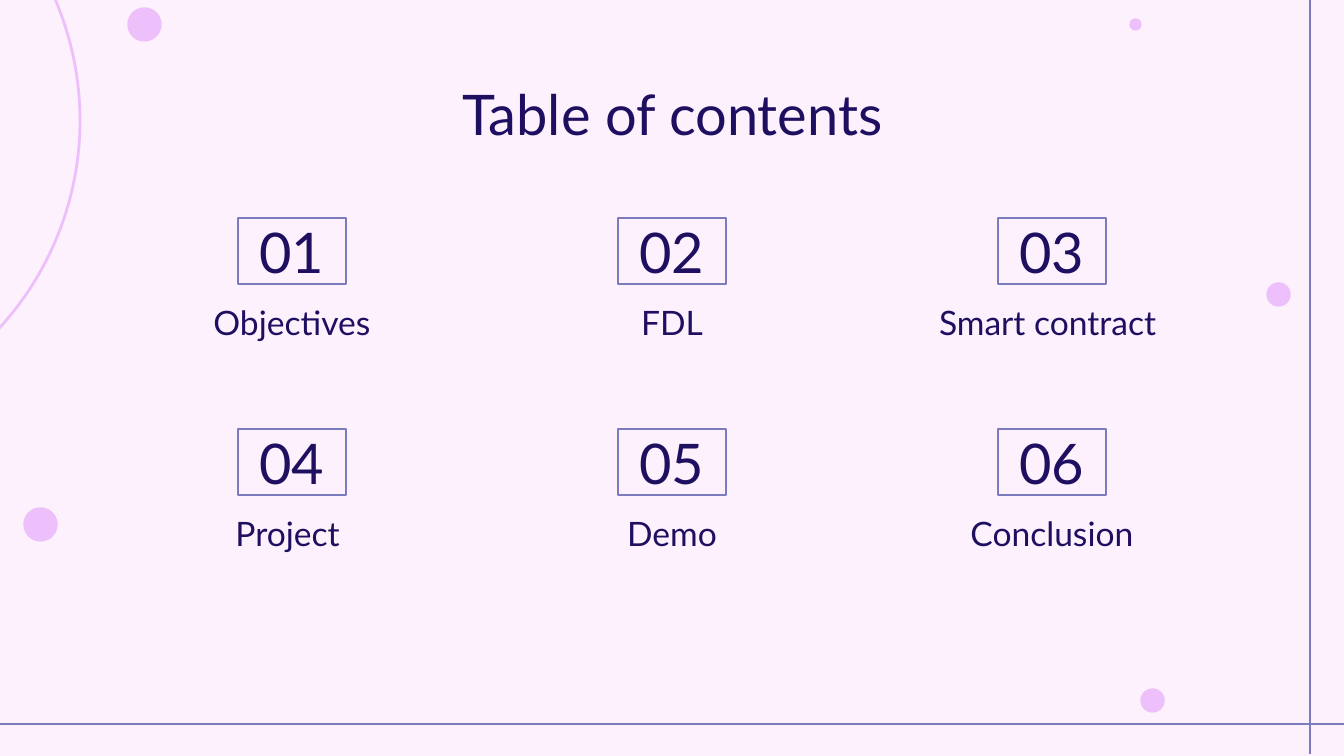
import pptx
import pptx.util
import pptx.dml.color
import pptx.enum.shapes
import pptx.enum.text
import pptx.oxml.ns
import lxml.etree

# Content
TITLE = "Table of contents"
SECTIONS = ["Objectives", "FDL", "Smart contract ",
            "Project ", "Demo", "Conclusion"]
DOTS = [(128, 8, 33), (1141, 689, 23), (1130, 19, 11),
        (1267, 283, 23), (24, 508, 33)]  # left, top, diameter
RULES = [(1310, -1, 1310, 754), (0, 724, 1351, 724)]

# Look
FONT = "Lato"
INK, FRAME, PINK, PAPER = "1F0F61", "7B7BBE", "EEC0FB", "FCF1FC"

# Grid, in px
COLUMNS = 3
LEFT, COLUMN_STEP, LABEL_WIDTH = 106, 380, 372
TOP, ROW_STEP, ROW_HEIGHT = 218, 211, 66
NUMBER_WIDTH, LABEL_DROP = 108, 70


def px(length):
    return pptx.util.Emu(round(length * 914400 / 134.4))


def color(value):
    return pptx.dml.color.RGBColor.from_string(value)


def add_shape(kind, left, top, width, height, fill=None, line=FRAME, weight=1.5):
    shape = slide.shapes.add_shape(kind, px(left), px(top), px(width), px(height))
    shape.shadow.inherit = False
    if fill:
        shape.fill.solid()
        shape.fill.fore_color.rgb = color(fill)
    else:
        shape.fill.background()
    shape.line.color.rgb = color(line)
    shape.line.width = pptx.util.Pt(weight)
    return shape


def add_textbox(left, top, width, height):
    return slide.shapes.add_textbox(px(left), px(top), px(width), px(height))


def write(box, text, size=30, anchor=pptx.enum.text.MSO_ANCHOR.TOP):
    frame = box.text_frame
    frame.word_wrap = True
    frame.vertical_anchor = anchor
    frame.margin_left = frame.margin_right = pptx.util.Inches(0.1)
    frame.margin_top = frame.margin_bottom = pptx.util.Inches(0.1)
    para = frame.paragraphs[0]
    para.alignment = pptx.enum.text.PP_ALIGN.CENTER
    span = para.add_run()
    span.text = text
    span.font.name = FONT
    span.font.size = pptx.util.Pt(size)
    span.font.color.rgb = color(INK)


deck = pptx.Presentation()
deck.slide_width, deck.slide_height = px(1344), px(756)
slide = deck.slides.add_slide(deck.slide_layouts[6])
slide.background.fill.solid()
slide.background.fill.fore_color.rgb = color(PAPER)
SHAPES = pptx.enum.shapes.MSO_SHAPE

# Large ring and dots
add_shape(SHAPES.OVAL, -535, -187, 615, 615, line=PINK)
for left, top, diameter in DOTS:
    add_shape(SHAPES.OVAL, left, top, diameter, diameter,
              fill=PINK, line=PINK, weight=0.75)

# Crossing rules
for rule in RULES:
    connector = slide.shapes.add_connector(
        pptx.enum.shapes.MSO_CONNECTOR.STRAIGHT, *map(px, rule))
    connector.line.color.rgb = color(FRAME)
    connector.line.width = pptx.util.Pt(1.5)
    lxml.etree.SubElement(connector._element.spPr,
                          pptx.oxml.ns.qn("a:effectLst"))

# Title
write(add_textbox(LEFT, 66, 1133, 85), TITLE)

# Numbered sections
for index, section in enumerate(SECTIONS):
    row, column = divmod(index, COLUMNS)
    left = LEFT + column * COLUMN_STEP
    top = TOP + row * ROW_STEP
    number_left = left + (LABEL_WIDTH - NUMBER_WIDTH) / 2
    number = add_shape(SHAPES.RECTANGLE, number_left, top,
                       NUMBER_WIDTH, ROW_HEIGHT)
    write(number, f"{index + 1:02}", anchor=pptx.enum.text.MSO_ANCHOR.MIDDLE)
    label = add_textbox(left, top + LABEL_DROP, LABEL_WIDTH, ROW_HEIGHT)
    write(label, section, size=18)

deck.save("out.pptx")
